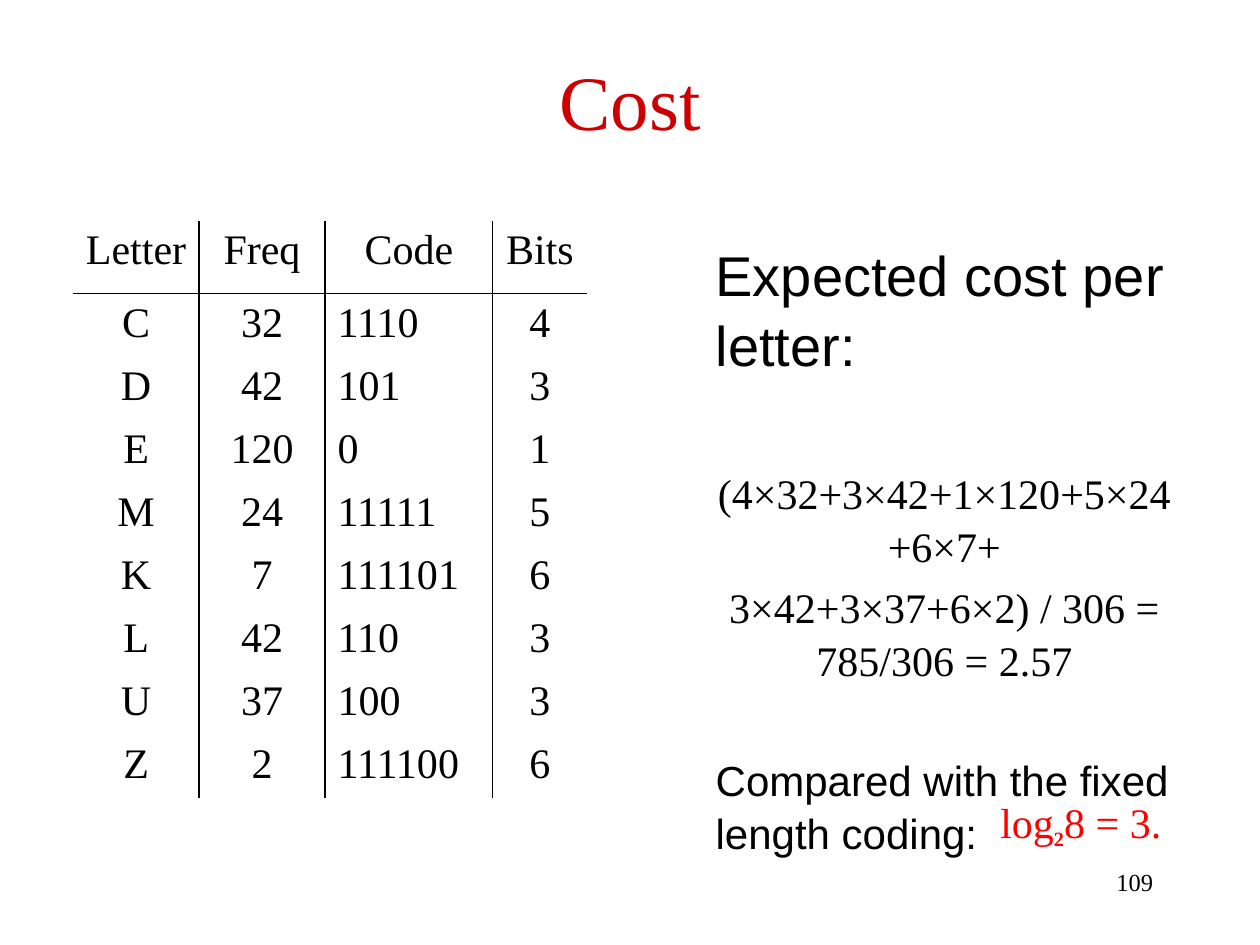
from lxml import etree
from pptx import Presentation
from pptx import util as u
from pptx.dml.color import RGBColor
from pptx.enum import text
from pptx.oxml.ns import qn

COLORS = {"title": "CC0000", "text": "000000", "accent": "FF0000"}
SERIF, SANS = "Times New Roman", "Arial"
LEFT, CENTER, RIGHT = text.PP_ALIGN.LEFT, text.PP_ALIGN.CENTER, text.PP_ALIGN.RIGHT
COLUMNS = [1, 1, 1.33, 0.75]
HEADER_HEIGHT, ROW_HEIGHT = 0.58, 0.5
ROWS = [
    ("Letter", "Freq", "Code", "Bits"),
    ("C", "32", "1110", "4"),
    ("D", "42", "101", "3"),
    ("E", "120", "0", "1"),
    ("M", "24", "11111", "5"),
    ("K", "7", "111101", "6"),
    ("L", "42", "110", "3"),
    ("U", "37", "100", "3"),
    ("Z", "2", "111100", "6"),
]
COST_LINES = [
    ("Expected cost per letter:", 32, SANS, LEFT, 0),
    ("(4×32+3×42+1×120+5×24+6×7+", 24, SERIF, CENTER, 49.8),
    ("3×42+3×37+6×2) / 306 = 785/306 = 2.57", 24, SERIF, CENTER, 4.8),
    ("Compared with the fixed length coding:", 24, SANS, LEFT, 38.5),
]


def place(shape, box):
    """Move a shape to a box of left, top, width and height in inches."""
    shape.left, shape.top, shape.width, shape.height = map(u.Inches, box)


def style(paragraph, size, name=SERIF, color="text", align=LEFT):
    """Format a whole paragraph."""
    paragraph.alignment = align
    font = paragraph.font
    font.size, font.name, font.bold = u.Pt(size), name, False
    font.color.rgb = RGBColor.from_string(COLORS[color])


def add_title(slide, box):
    """Fill the title placeholder."""
    title = slide.shapes.title
    place(title, box)
    frame = title.text_frame
    frame.text = "Cost"
    frame.vertical_anchor = text.MSO_ANCHOR.MIDDLE
    style(frame.paragraphs[0], 44, color="title", align=CENTER)


def add_cost(slide, box):
    """Fill the body placeholder with the cost calculation."""
    body = slide.placeholders[1]
    place(body, box)
    frame = body.text_frame
    frame.auto_size = text.MSO_AUTO_SIZE.NONE
    frame.vertical_anchor = text.MSO_ANCHOR.TOP
    frame.text = "\n".join(line[0] for line in COST_LINES)
    for paragraph, (_, size, name, align, gap) in zip(frame.paragraphs, COST_LINES):
        style(paragraph, size, name, align=align)
        paragraph.line_spacing = 1.05
        paragraph.space_before = u.Pt(gap)


def set_borders(cell, sides):
    """Draw the given sides of a cell and hide the others."""
    properties = cell._tc.get_or_add_tcPr()
    for index, side in enumerate("LRTB"):
        line = etree.Element(qn(f"a:ln{side}"), w=str(u.Pt(1)))
        if side in sides:
            fill = etree.SubElement(line, qn("a:solidFill"))
            etree.SubElement(fill, qn("a:srgbClr"), val=COLORS["text"])
        else:
            etree.SubElement(line, qn("a:noFill"))
        properties.insert(index, line)


def add_code_table(slide, left, top):
    """Add the table of letters, frequencies and codes."""
    height = HEADER_HEIGHT + ROW_HEIGHT * (len(ROWS) - 1)
    box = map(u.Inches, (left, top, sum(COLUMNS), height))
    table = slide.shapes.add_table(len(ROWS), len(COLUMNS), *box).table
    table.first_row = table.horz_banding = False
    for column, width in zip(table.columns, COLUMNS):
        column.width = u.Inches(width)
    for row_index, values in enumerate(ROWS):
        table.rows[row_index].height = u.Inches(ROW_HEIGHT if row_index else HEADER_HEIGHT)
        for column_index, value in enumerate(values):
            cell = table.cell(row_index, column_index)
            cell.text = value
            cell.fill.background()
            is_code = row_index > 0 and column_index == 2
            style(cell.text_frame.paragraphs[0], 24, align=LEFT if is_code else CENTER)
            sides = "L" if column_index else ""
            sides += "R" if column_index < len(COLUMNS) - 1 else ""
            sides += {0: "B", 1: "T"}.get(row_index, "")
            set_borders(cell, sides)


def add_fixed_cost(slide, box):
    """Add the cost of the fixed length code."""
    frame = slide.shapes.add_textbox(*map(u.Inches, box)).text_frame
    frame.word_wrap = False
    frame.auto_size = text.MSO_AUTO_SIZE.SHAPE_TO_FIT_TEXT
    paragraph = frame.paragraphs[0]
    style(paragraph, 24, color="accent")
    _, base, _ = runs = [paragraph.add_run() for _ in range(3)]
    for run, words in zip(runs, ("log", "2", "8 = 3.")):
        run.text = words
    base.font.size, base.font.bold = u.Pt(20), True
    base.font._element.set("baseline", "-25000")


def add_page_number(slide, box):
    """Add the page number."""
    frame = slide.shapes.add_textbox(*map(u.Inches, box)).text_frame
    frame.word_wrap = True
    frame.text = "109"
    style(frame.paragraphs[0], 14, align=RIGHT)


def main():
    """Build and save the slide."""
    presentation = Presentation()
    presentation.slide_width, presentation.slide_height = u.Inches(10), u.Inches(7.5)
    slide = presentation.slides.add_slide(presentation.slide_layouts[0])
    add_title(slide, (0.75, 0.17, 8.5, 1.25))
    add_cost(slide, (5.58, 1.83, 3.83, 5.3))
    add_code_table(slide, 0.58, 1.75)
    add_fixed_cost(slide, (7.84, 6.27, 1.49, 0.5))
    add_page_number(slide, (7.17, 6.83, 2.08, 0.5))
    presentation.save("out.pptx")


if __name__ == "__main__":
    main()
